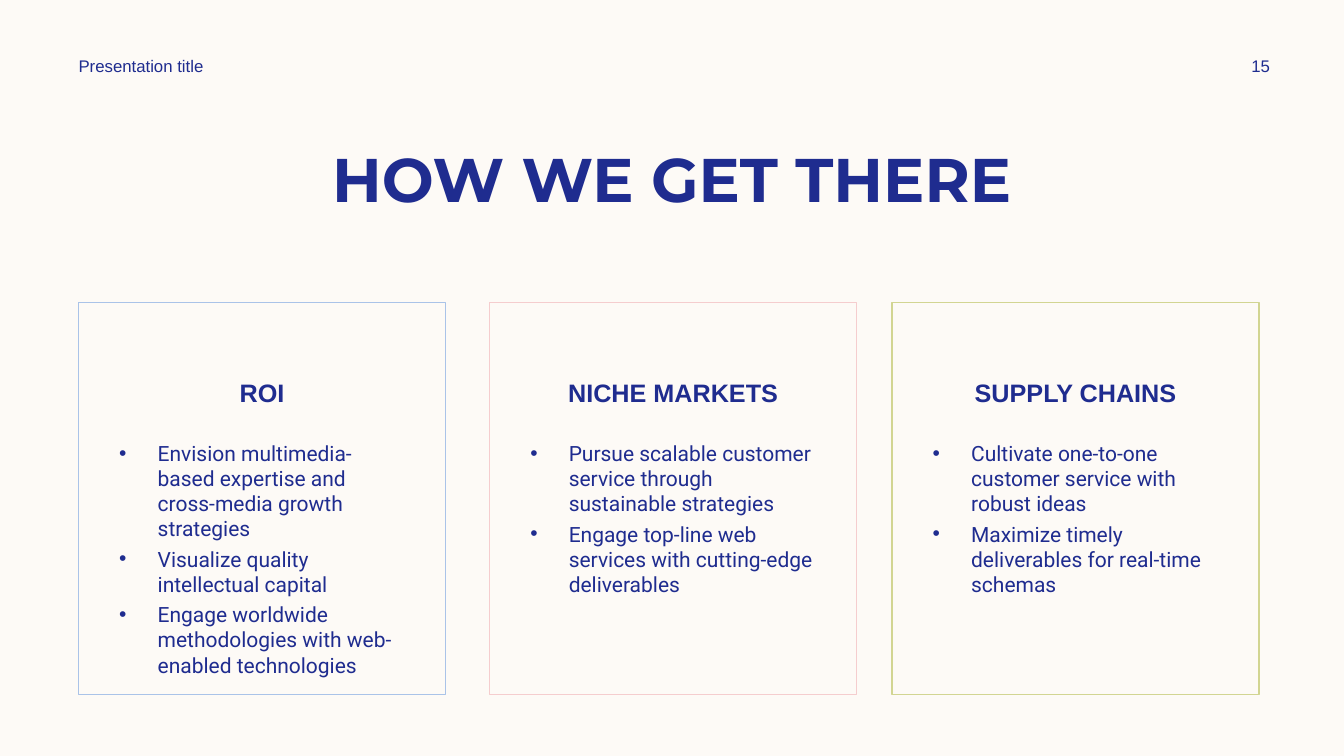
"""Build a slide with three framed columns of goals."""
from pptx import Presentation
from pptx.dml.color import RGBColor
from pptx.enum.shapes import MSO_SHAPE
from pptx.enum.text import MSO_ANCHOR, MSO_AUTO_SIZE, PP_ALIGN
from pptx.util import Cm, Pt
from lxml import etree

RECT = MSO_SHAPE.RECTANGLE
TOP, MIDDLE = MSO_ANCHOR.TOP, MSO_ANCHOR.MIDDLE
LEFT, CENTER = PP_ALIGN.LEFT, PP_ALIGN.CENTER
FIXED = MSO_AUTO_SIZE.NONE
NS = "http://schemas.openxmlformats.org/drawingml/2006/main"
NAVY = "1F2C8F"
COLUMNS = [
    (1.98, "AAC3E8", "ROI", 2, [
        "Envision multimedia-based expertise and cross-media growth strategies",
        "Visualize quality intellectual capital",
        "Engage worldwide methodologies with web-enabled technologies"]),
    (12.34, "F5CDCE", "NICHE MARKETS", 4, [
        "Pursue scalable customer service through sustainable strategies",
        "Engage top-line web services with cutting-edge deliverables"]),
    (22.48, "D2D592", "SUPPLY CHAINS", 1, [
        "Cultivate one-to-one customer service with robust ideas",
        "Maximize timely deliverables for real-time schemas"]),
]


def color(code):
    return RGBColor.from_string(code)


def place(shape, left, top, width, height):
    shape.left, shape.top = Cm(left), Cm(top)
    shape.width, shape.height = Cm(width), Cm(height)


def style(para, face, size, bold=False, align=LEFT):
    para.alignment = align
    font = para.font
    font.name, font.size, font.bold = face, Pt(size), bold
    font.color.rgb = color(NAVY)


def setup(frame, anchor):
    frame.word_wrap = True
    frame.auto_size = FIXED
    frame.vertical_anchor = anchor


def add_title(slide, text):
    title = slide.shapes.title
    place(title, 3.43, 3.43, 29.64 - 3.43 + 0.8, 2.13)
    title.left = Cm((33.87 - 27.01) / 2)
    setup(title.text_frame, TOP)
    title.text_frame.text = text
    style(title.text_frame.paragraphs[0], "Montserrat", 44, True, CENTER)


def add_label(slide, text, left, width, align):
    box = slide.shapes.add_textbox(Cm(left), Cm(1.27), Cm(width), Cm(0.76))
    setup(box.text_frame, MIDDLE)
    box.text_frame.text = text
    style(box.text_frame.paragraphs[0], "Arial", 12, align=align)


def add_card(slide, left, line, head):
    card = slide.shapes.add_shape(RECT, Cm(left), Cm(7.62), Cm(9.25), Cm(9.88))
    card.shadow.inherit = False
    card.fill.background()
    card.line.color.rgb = color(line)
    card.line.width = Pt(1)
    frame = card.text_frame
    setup(frame, TOP)
    frame.margin_top = Cm(1.9)
    frame.text = head
    style(frame.paragraphs[0], "Arial", 18, True, CENTER)


def add_bullet(para):
    props = para._p.get_or_add_pPr()
    props.set("marL", str(Cm(0.97)))
    props.set("indent", str(-Cm(0.97)))
    etree.SubElement(props, f"{{{NS}}}buFont", typeface="Arial")
    etree.SubElement(props, f"{{{NS}}}buChar", char="•")


def fill_list(holder, left, items):
    place(holder, left, 10.97, 7.7, 6.12)
    frame = holder.text_frame
    setup(frame, TOP)
    frame.text = "\n".join(items)
    for index, para in enumerate(frame.paragraphs):
        add_bullet(para)
        para.space_before = Pt(3.6 if index else 0)
        style(para, "Roboto", 15)


def main():
    deck = Presentation()
    deck.slide_width, deck.slide_height = Cm(33.87), Cm(19.05)
    slide = deck.slides.add_slide(deck.slide_layouts[4])
    slide.background.fill.solid()
    slide.background.fill.fore_color.rgb = color("FDFAF6")
    add_title(slide, "HOW WE GET THERE")
    add_label(slide, "Presentation title", 1.73, 8.89, LEFT)
    add_label(slide, "15", 30.4, 2.74, CENTER)
    holders = {item.placeholder_format.idx: item for item in slide.placeholders}
    for left, line, head, key, items in COLUMNS:
        add_card(slide, left, line, head)
        fill_list(holders[key], left + 0.77, items)
    spare = holders[3].element
    spare.getparent().remove(spare)
    deck.save("out.pptx")


if __name__ == "__main__":
    main()
